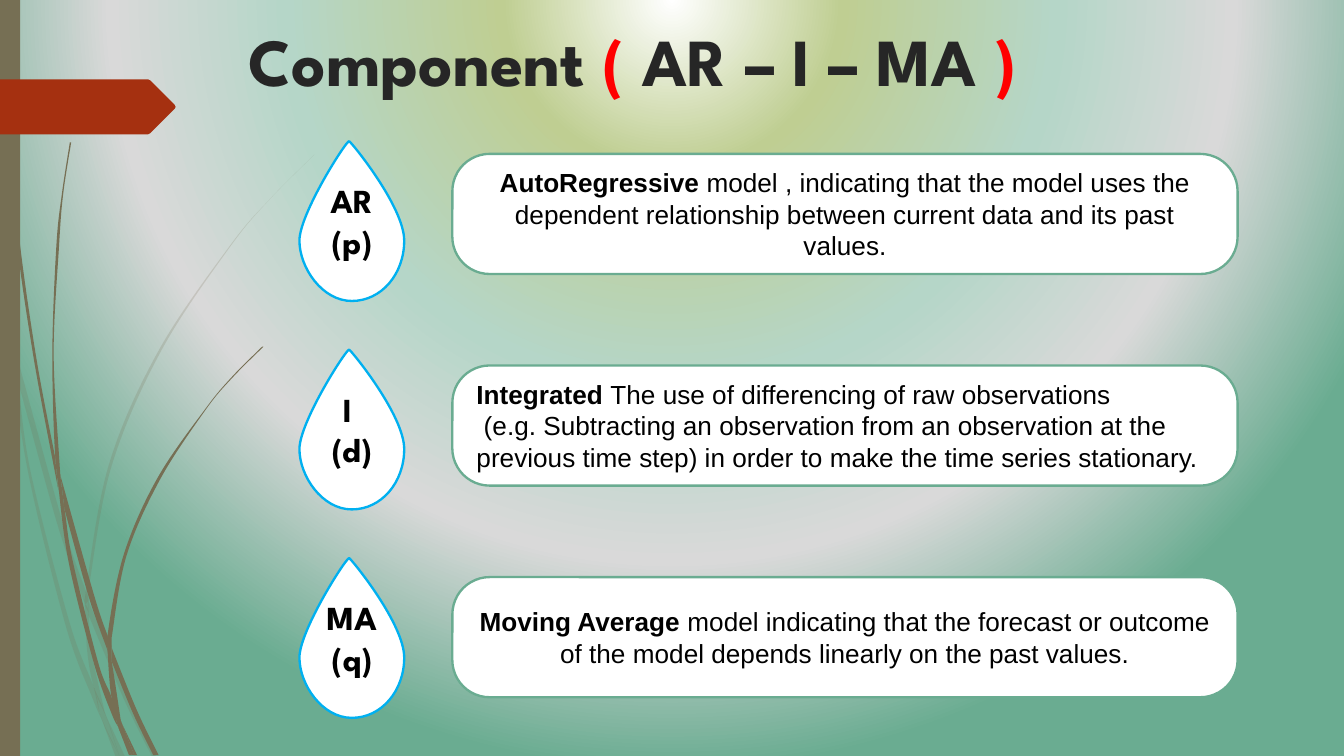
from lxml.etree import SubElement
from pptx import Presentation
from pptx.dml.color import RGBColor
from pptx.enum.shapes import MSO_SHAPE as Shape
from pptx.enum.text import MSO_ANCHOR as Anchor, PP_ALIGN as Align
from pptx.oxml import parse_xml
from pptx.oxml.ns import nsdecls, qn
from pptx.util import Cm, Pt

THEME = {
    "display": "League Spartan", "body": "Arial",
    "title_pt": 36, "drop_pt": 18, "card_pt": 14, "line_pt": 1.25,
    "ink": "000000", "heading": "262626", "bracket": "FF0000", "paper": "FFFFFF",
    "drop_line": "00B0F0", "card_line": "6AAC91", "stem": "766F54", "arrow": "A53010",
    "glow": [(0, "FFFFFF"), (22, "BFCE92"), (50, "B5D6C8"), (73, "D9D9D9"), (100, "6AAC91")],
}

# Content: title runs as (text, colour)
TITLE = [("Component ", "heading"), ("(", "bracket"), (" AR – I – MA ", "heading"), (")", "bracket")]

# Content: drop lines, card alignment, card paragraphs as (text, bold) runs
COMPONENTS = [
    (["AR (p)"], Align.CENTER,
     [[("AutoRegressive ", True),
       ("model , indicating that the model uses the dependent relationship between "
        "current data and its past values.", False)]]),
    (["I ", "(d)"], Align.LEFT,
     [[("Integrated ", True), ("The use of differencing of raw observations", False)],
      [(" (e.g. Subtracting an observation from an observation at the previous time step) "
        "in order to make the time series stationary.", False)]]),
    (["MA", "(q)"], Align.CENTER,
     [[("Moving Average ", True),
       ("model indicating that the forecast or outcome of the model depends linearly "
        "on the past values.", False)]]),
]

# Grass blades: one edge out, the other edge back, in steps of GRID
GRID = 0.0254
FAINT_GRASS = [
    ([(8, 263), (6, 241), (0, 211)], [(0, 224), (8, 258)]),
    ([(13, 282), (43, 391), (63, 449)], [(64, 440), (47, 390), (11, 259)]),
    ([(66, 458), (92, 520), (113, 563)], [(116, 563), (95, 519), (69, 455), (66, 447)]),
    ([(79, 533), (89, 563)], [(93, 563), (79, 533)]),
    ([(8, 263), (21, 352), (49, 466), (69, 520), (76, 536)],
     [(74, 530), (70, 512), (52, 464), (23, 352), (13, 282), (8, 263)]),
    ([(63, 449), (65, 485), (70, 512), (79, 533)], [(78, 530), (68, 484), (66, 456), (63, 449)]),
    ([(234, 115), (201, 148), (171, 183), (118, 261), (81, 346), (64, 440), (66, 447)],
     [(66, 438), (83, 347), (120, 261), (171, 184), (201, 148), (234, 115)]),
    ([(76, 536), (86, 563)], [(89, 563), (76, 536)]),
    ([(64, 440), (63, 449), (66, 456)], [(66, 458), (66, 447), (64, 440)]),
    ([(70, 512), (76, 536), (89, 563)], [(89, 563), (79, 533), (70, 512)]),
]
SOLID_GRASS = [
    ([(2, 0), (3, 36), (5, 82), (12, 175), (25, 266), (42, 357), (43, 361)],
     [(41, 340), (27, 266), (14, 174), (6, 82), (3, 36), (3, 0)]),
    ([(48, 379), (66, 444), (80, 484)], [(80, 473), (70, 443), (45, 354)]),
    ([(83, 492), (99, 531), (114, 562)], [(118, 562), (102, 529), (85, 487), (83, 481)]),
    ([(43, 358), (51, 418), (70, 494), (83, 531), (88, 541)],
     [(87, 538), (83, 519), (73, 493), (54, 417), (48, 379), (43, 358)]),
    ([(52, 106), (46, 145), (42, 183), (39, 262), (41, 337), (45, 354)],
     [(44, 340), (40, 262), (44, 183), (47, 145), (53, 106)]),
    ([(91, 539), (100, 562)], [(102, 562), (91, 539)]),
    ([(41, 337), (43, 358), (48, 379)], [(45, 354), (41, 337)]),
    ([(195, 258), (173, 280), (153, 304), (117, 356), (92, 413), (80, 473), (83, 481)],
     [(83, 475), (94, 414), (119, 357), (153, 305), (173, 281), (196, 258)]),
    ([(88, 541), (96, 562)], [(98, 562), (88, 541)]),
    ([(80, 484), (83, 519), (91, 539)], [(90, 537), (83, 492), (80, 484)]),
    ([(80, 473), (80, 484), (83, 492)], [(83, 481), (80, 473)]),
    ([(83, 519), (88, 541), (98, 562)], [(100, 562), (91, 539), (83, 519)]),
]

# Layout in centimetres
SLIDE_W, SLIDE_H = 25.4, 14.29
DROP_LEFT, DROP_TOP, DROP_PITCH = 5.66, 2.67, 3.94
CARD_LEFT, CARD_TOP, CARD_PITCH, CARD_W, CARD_H = 8.55, 2.91, 4.0, 14.84, 2.27

# Drop outline: a start, then two handles and an end for each curve
DROP = [(0, 1.88),
        (0, 1.37), (0.89, -0.02), (0.94, 0),
        (0.99, 0.03), (1.98, 1.24), (1.98, 1.88),
        (1.98, 2.51), (1.55, 3.02), (0.99, 3.02),
        (0.43, 3.02), (0, 2.39), (0, 1.88)]
ARROW = [(0, 1.5), (2.8, 1.5), (2.84, 1.52), (3.3, 1.98), (3.32, 2.02),
         (3.3, 2.06), (2.84, 2.52), (2.8, 2.54), (0, 2.54)]


def smooth_edge(knots):
    """Knots with the two handles of a Catmull-Rom curve between neighbours."""
    padded = [knots[0], *knots, knots[-1]]
    points = [knots[0]]
    for before, a, b, after in zip(padded, padded[1:], padded[2:], padded[3:]):
        points += [tuple(p + (q - o) / 6 for o, p, q in zip(before, a, b)),
                   tuple(q - (r - p) / 6 for p, q, r in zip(a, b, after)), b]
    return points


def color(name):
    return RGBColor.from_string(THEME[name])


def paint(shape, fill, line=None):
    shape.shadow.inherit = False
    shape.fill.solid()
    shape.fill.fore_color.rgb = color(fill)
    if line:
        shape.line.color.rgb = color(line)
        shape.line.width = Pt(THEME["line_pt"])
    else:
        shape.line.fill.background()
    return shape


def outline(shapes, points, fill, line=None, curved=True):
    """A closed outline; when curved, every three points make one cubic curve."""
    corners = [(Cm(x), Cm(y)) for x, y in points]
    builder = shapes.build_freeform(*corners[0])
    builder.add_line_segments(corners[1:], close=True)
    shape = builder.convert_to_shape()
    if curved:
        segments = shape._element.findall(".//" + qn("a:lnTo"))
        track = segments[0].getparent()
        for i in range(0, len(segments), 3):
            curve = SubElement(track, qn("a:cubicBezTo"))
            segments[i].addprevious(curve)
            for segment in segments[i:i + 3]:
                curve.append(segment[0])
                track.remove(segment)
    return paint(shape, fill, line)


def write(shape, paragraphs, align, font, size, anchor=Anchor.MIDDLE):
    """Paragraphs are lists of (text, bold, colour) runs."""
    frame = shape.text_frame
    frame.word_wrap = True
    frame.vertical_anchor = anchor
    for i, runs in enumerate(paragraphs):
        paragraph = frame.paragraphs[0] if i == 0 else frame.add_paragraph()
        paragraph.alignment = align
        for text, bold, ink in runs:
            run = paragraph.add_run()
            run.text = text
            run.font.name, run.font.size, run.font.bold = THEME[font], Pt(THEME[size]), bold
            run.font.color.rgb = color(ink)


def add_grass(slide, blades, opacity=None):
    tuft = slide.shapes.add_group_shape()
    for out, back in blades:
        edge = smooth_edge(out) + [out[-1], back[0]] + smooth_edge(back)
        blade = outline(tuft.shapes, [(x * GRID, y * GRID) for x, y in edge], "stem")
        if opacity:
            tint = blade._element.spPr.find(".//{*}solidFill/{*}srgbClr")
            tint.append(parse_xml(f'<a:alpha {nsdecls("a")} val="{opacity * 1000}"/>'))


def add_background(slide):
    stops = "".join(f'<a:gs pos="{at * 1000}"><a:srgbClr val="{tone}"/></a:gs>'
                    for at, tone in THEME["glow"])
    slide._element.cSld.insert(0, parse_xml(
        f'<p:bg {nsdecls("p", "a")}><p:bgPr><a:gradFill rotWithShape="1"><a:gsLst>{stops}</a:gsLst>'
        '<a:path path="circle"><a:fillToRect l="50000" t="-80000" r="50000" b="180000"/></a:path>'
        '</a:gradFill><a:effectLst/></p:bgPr></p:bg>'))


def main():
    deck = Presentation()
    deck.slide_width, deck.slide_height = Cm(SLIDE_W), Cm(SLIDE_H)
    slide = deck.slides.add_slide(deck.slide_layouts[6])

    # Backdrop: glow, grass, side bar, arrow
    add_background(slide)
    add_grass(slide, FAINT_GRASS, opacity=20)
    add_grass(slide, SOLID_GRASS)
    paint(slide.shapes.add_shape(Shape.RECTANGLE, 0, 0, Cm(0.38), Cm(SLIDE_H)), "stem")
    outline(slide.shapes, ARROW, "arrow", curved=False)

    # Title
    title = slide.shapes.add_textbox(Cm(4.45), Cm(0.25), Cm(19.69), Cm(2.67))
    write(title, [[(text, True, ink) for text, ink in TITLE]],
          Align.LEFT, "display", "title_pt", Anchor.TOP)

    # One drop and one card per component
    for row, (symbol, align, meaning) in enumerate(COMPONENTS):
        pair = slide.shapes.add_group_shape().shapes
        top = DROP_TOP + row * DROP_PITCH
        drop = outline(pair, [(DROP_LEFT + x, top + y) for x, y in DROP], "paper", "drop_line")
        write(drop, [[(text, True, "ink")] for text in symbol], Align.CENTER, "display", "drop_pt")

        card = pair.add_shape(Shape.ROUNDED_RECTANGLE, Cm(CARD_LEFT), Cm(CARD_TOP + row * CARD_PITCH),
                              Cm(CARD_W), Cm(CARD_H))
        card.adjustments[0] = 0.31
        paint(card, "paper", "card_line")
        write(card, [[(text, bold, "ink") for text, bold in runs] for runs in meaning],
              align, "body", "card_pt")

    deck.save("out.pptx")


if __name__ == "__main__":
    main()
